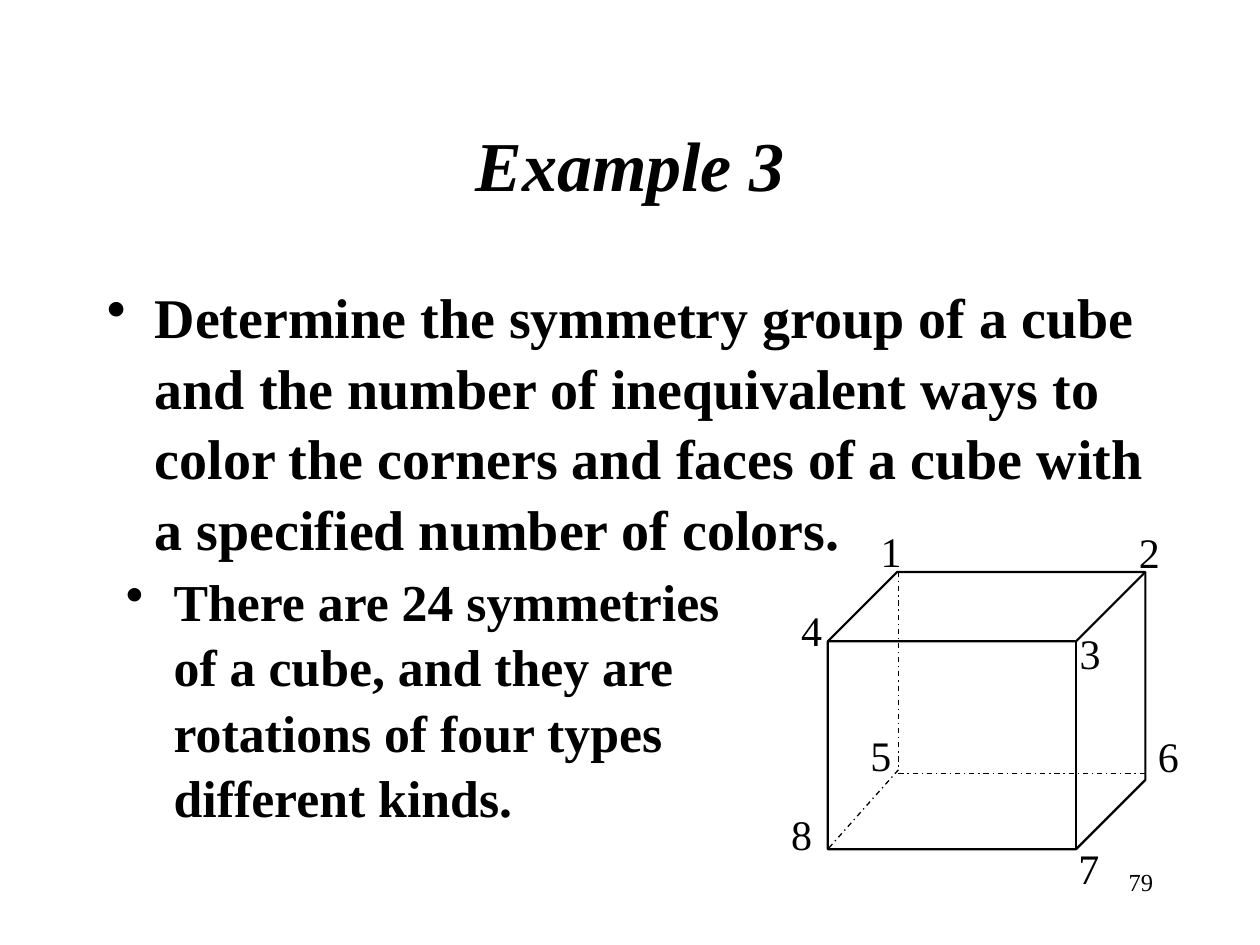
import pptx
import pptx.util
import pptx.dml.color
import pptx.enum.dml
import pptx.enum.shapes
import pptx.enum.text
import pptx.oxml.ns
from dataclasses import dataclass
from lxml import etree
from pptx.util import Inches, Pt


@dataclass(frozen=True)
class Theme:
    font: str = "Times New Roman"
    ink: pptx.dml.color.RGBColor = pptx.dml.color.RGBColor(0, 0, 0)
    title: float = 40
    body: float = 32
    detail: float = 29.6
    label: float = 24
    number: float = 14
    edge: float = 1.25
    hidden_edge: float = 0.75


theme = Theme()


def write(shape, text, size, bold=False, bullet=False):
    frame = shape.text_frame
    frame.word_wrap = True
    frame.text = text
    paragraph = frame.paragraphs[0]
    if bullet:
        properties = paragraph._p.get_or_add_pPr()
        properties.set("marL", str(Inches(0.38)))
        properties.set("indent", str(Inches(-0.38)))
        etree.SubElement(properties, pptx.oxml.ns.qn("a:buChar")).set("char", "•")
        paragraph.line_spacing = 1.05
    paragraph.font.name = theme.font
    paragraph.font.size = Pt(size)
    paragraph.font.bold = bold
    paragraph.font.color.rgb = theme.ink
    return paragraph


presentation = pptx.Presentation()
presentation.slide_width = Inches(10)
presentation.slide_height = Inches(7.5)
slide = presentation.slides.add_slide(presentation.slide_layouts[5])

title = slide.shapes.title
title.left, title.top = Inches(0.75), Inches(0.67)
title.width, title.height = Inches(8.5), Inches(1.25)
paragraph = write(title, "Example 3", theme.title, bold=True)
paragraph.font.italic = True
paragraph.alignment = pptx.enum.text.PP_ALIGN.CENTER
title.text_frame.vertical_anchor = pptx.enum.text.MSO_ANCHOR.MIDDLE
title.text_frame.auto_size = pptx.enum.text.MSO_AUTO_SIZE.NONE

page_number = slide.shapes.add_textbox(Inches(7.17), Inches(6.83), Inches(2.08), Inches(0.5))
paragraph = write(page_number, "79", theme.number)
paragraph.alignment = pptx.enum.text.PP_ALIGN.RIGHT

bullets = [
    (0.75, 2.17, 8.5, 4.5, theme.body,
     "Determine the symmetry group of a cube and the number of inequivalent ways to "
     "color the corners and faces of a cube with a specified number of colors."),
    (0.9, 4.45, 5.2, 2.69, theme.detail,
     "There are 24 symmetries of a cube, and they are rotations of four types different kinds."),
]
for left, top, width, height, size, text in bullets:
    box = slide.shapes.add_textbox(Inches(left), Inches(top), Inches(width), Inches(height))
    write(box, text, size, bold=True, bullet=True)

diagram = slide.shapes.add_group_shape()
cube = diagram.shapes.add_shape(
    pptx.enum.shapes.MSO_SHAPE.CUBE, Inches(6.57), Inches(4.54), Inches(2.52), Inches(2.2))
cube.adjustments[0] = 0.25
cube.shadow.inherit = False
cube.fill.background()
cube.line.color.rgb = theme.ink
cube.line.width = Pt(theme.edge)

hidden_edges = [
    (7.13, 4.54, 7.13, 6.11),
    (7.13, 6.14, 9.1, 6.14),
    (7.13, 6.11, 6.57, 6.74),
]
for edge in hidden_edges:
    connector = diagram.shapes.add_connector(
        pptx.enum.shapes.MSO_CONNECTOR.STRAIGHT, *map(Inches, edge))
    connector.line.color.rgb = theme.ink
    connector.line.width = Pt(theme.hidden_edge)
    connector.line.dash_style = pptx.enum.dml.MSO_LINE.DASH_DOT
    etree.SubElement(connector._element.spPr, pptx.oxml.ns.qn("a:effectLst"))

corner_positions = [
    (6.89, 4.12), (8.94, 4.13), (8.47, 4.93), (6.26, 4.75),
    (6.81, 5.74), (9.09, 5.75), (8.46, 6.64), (6.18, 6.37),
]
for corner, (left, top) in enumerate(corner_positions, start=1):
    label = diagram.shapes.add_textbox(Inches(left), Inches(top), Inches(0.55), Inches(0.5))
    write(label, str(corner), theme.label)
    label.text_frame.auto_size = pptx.enum.text.MSO_AUTO_SIZE.SHAPE_TO_FIT_TEXT

presentation.save("out.pptx")
